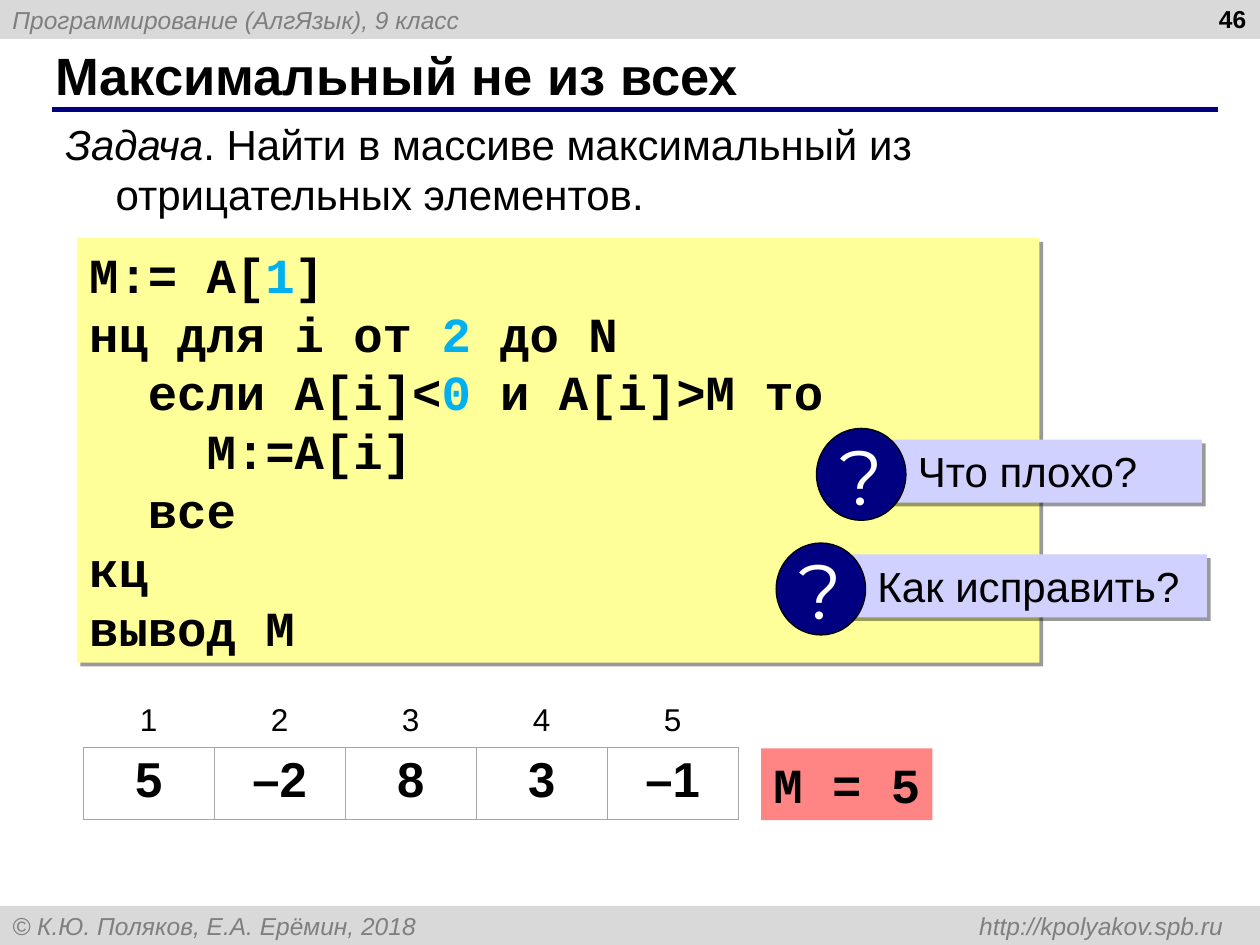
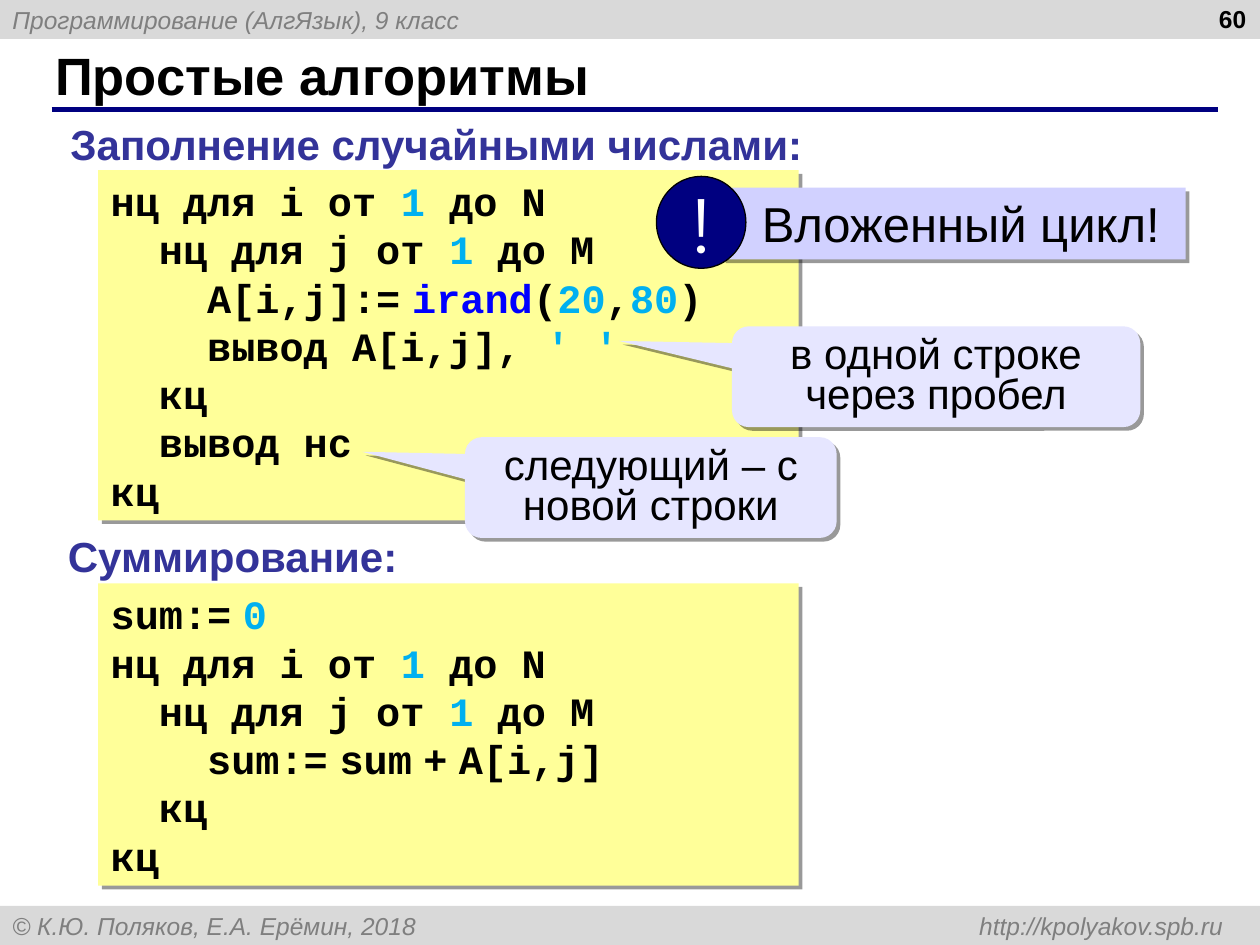
from dataclasses import dataclass

from lxml.etree import SubElement
from pptx import Presentation
from pptx.dml.color import RGBColor
from pptx.enum.shapes import MSO_CONNECTOR, MSO_SHAPE
from pptx.enum.text import MSO_ANCHOR, PP_ALIGN
from pptx.oxml.ns import qn
from pptx.util import Inches, Pt

BLACK, WHITE, NAVY = "000000", "FFFFFF", "000080"
BAND_FILL, BAND_TEXT = "D9D9D9", "7F7F7F"
CODE_FILL, BANNER_FILL, CALLOUT_FILL, RESULT_FILL = "FFFF99", "D1D1FF", "E6E6FF", "FF8585"
HEADING, LITERAL, FUNCTION, GRID = "333399", "00B0F0", "0000FF", "A6A6A6"
BODY_FONT, CODE_FONT, BADGE_FONT = "Arial", "Courier New", "Montserrat"


@dataclass
class Style:
    size: float
    font: str = BODY_FONT
    color: str = BLACK
    bold: bool = False
    italic: bool = False


@dataclass
class Token:
    """A piece of code that differs from plain code in colour or font."""
    text: str
    color: str = BLACK
    font: str = CODE_FONT


def literal(text):
    return Token(text, LITERAL)


THIN_SPACE = Token(" ", font=BODY_FONT)

MAXIMUM_CODE = [
    ["M:= A[", literal("1"), "]"],
    ["нц для i от ", literal("2"), " до N"],
    ["  если A[i]<", literal("0"), " и A[i]>M то"],
    ["    M:=A[i]"],
    ["  все"],
    ["кц"],
    ["вывод M"],
]
NESTED_LOOPS = [
    ["нц для i от ", literal("1"), " до N"],
    ["  нц для j от ", literal("1"), " до M"],
]
RANDOM_CODE = NESTED_LOOPS + [
    ["    A[i,j]:=", THIN_SPACE, Token("irand", FUNCTION), "(",
     literal("20"), ",", literal("80"), ")"],
    ["    вывод A[i,j], ", literal("' '")],
    ["  кц"],
    ["  вывод нс"],
    ["кц"],
]
SUM_CODE = [["sum:=", THIN_SPACE, literal("0")]] + NESTED_LOOPS + [
    ["    sum:=", THIN_SPACE, "sum", THIN_SPACE, "+", THIN_SPACE, "A[i,j]"],
    ["  кц"],
    ["кц"],
]


def rgb(color):
    return RGBColor.from_string(color)


def add_run(paragraph, text, style):
    run = paragraph.add_run()
    run.text = text
    font = run.font
    font.name, font.size = style.font, Pt(style.size)
    font.bold, font.italic = style.bold, style.italic
    font.color.rgb = rgb(style.color)


def set_frame(shape, anchor=MSO_ANCHOR.TOP, wrap=True, align=PP_ALIGN.LEFT):
    """Prepare the text frame and return its first paragraph."""
    frame = shape.text_frame
    frame.word_wrap = wrap
    frame.vertical_anchor = anchor
    frame.paragraphs[0].alignment = align
    return frame.paragraphs[0]


def add_text(shapes, left, top, width, height, text, style, **frame_options):
    box = shapes.add_textbox(Inches(left), Inches(top), Inches(width), Inches(height))
    paragraph = set_frame(box, **frame_options)
    if text:
        add_run(paragraph, text, style)
    return paragraph


def add_filled(shapes, kind, left, top, width, height, fill, shadow=False):
    shape = shapes.add_shape(kind, Inches(left), Inches(top), Inches(width), Inches(height))
    shape.fill.solid()
    shape.fill.fore_color.rgb = rgb(fill)
    shape.line.fill.background()
    shape.shadow.inherit = False
    if shadow:
        effects = shape._element.spPr.find(qn("a:effectLst"))
        outer = SubElement(effects, qn("a:outerShdw"), blurRad="0", dist=str(Pt(3)),
                           dir=str(45 * 60000), algn="tl", rotWithShape="0")
        color = SubElement(outer, qn("a:srgbClr"), val=BLACK)
        SubElement(color, qn("a:alpha"), val="40000")
    return shape


def add_band(shapes, top, text):
    band = add_filled(shapes, MSO_SHAPE.RECTANGLE, 0, top, 10, 0.31, BAND_FILL)
    paragraph = set_frame(band, anchor=MSO_ANCHOR.MIDDLE)
    if "\t" in text:
        tabs = SubElement(paragraph._p.get_or_add_pPr(), qn("a:tabLst"))
        SubElement(tabs, qn("a:tab"), pos=str(Inches(9.61)), algn="r")
    add_run(paragraph, text, Style(14, color=BAND_TEXT, italic=True))


def add_lesson_slide(presentation, title, number):
    """Add a slide with the bands, ruled title and page number."""
    shapes = presentation.slides.add_slide(presentation.slide_layouts[6]).shapes
    add_band(shapes, 0, "Программирование (АлгЯзык), 9 класс")
    add_band(shapes, 7.19, "© К.Ю. Поляков, Е.А. Ерёмин, 2018\thttp://kpolyakov.spb.ru")
    rule = shapes.add_connector(MSO_CONNECTOR.STRAIGHT, Inches(0.41), Inches(0.87),
                                Inches(9.67), Inches(0.87))
    rule.line.color.rgb = rgb(NAVY)
    rule.line.width = Pt(3)
    SubElement(rule._element.spPr, qn("a:effectLst"))
    add_text(shapes, 0.34, 0.33, 9.16, 0.52, title, Style(30, bold=True),
             anchor=MSO_ANCHOR.MIDDLE)
    add_text(shapes, 7.66, -0.02, 2.33, 0.52, number, Style(14, bold=True),
             align=PP_ALIGN.RIGHT)
    return shapes


def add_task(shapes, label, text):
    paragraph = add_text(shapes, 0.42, 0.89, 9.21, 0.9, "", None)
    properties = paragraph._p.get_or_add_pPr()
    properties.set("marL", str(Inches(0.4)))
    properties.set("indent", str(Inches(-0.4)))
    add_run(paragraph, label, Style(24, italic=True))
    add_run(paragraph, text, Style(24))


def add_heading(shapes, left, top, width, text):
    add_text(shapes, left, top, width, 0.5, text, Style(24, color=HEADING, bold=True),
             wrap=False)


def add_code(shapes, left, top, width, height, lines, size):
    panel = add_filled(shapes, MSO_SHAPE.RECTANGLE, left, top, width, height,
                       CODE_FILL, shadow=True)
    paragraph = set_frame(panel)
    for index, line in enumerate(lines):
        if index:
            paragraph = panel.text_frame.add_paragraph()
            paragraph.alignment = PP_ALIGN.LEFT
        for part in line:
            token = part if isinstance(part, Token) else Token(part)
            add_run(paragraph, token.text, Style(size, token.font, token.color, bold=True))


def add_banner(shapes, left, top, width, height, mark, text, size):
    """Add a text strip with a round badge overlapping its left end."""
    group = shapes.add_group_shape().shapes
    strip = add_filled(group, MSO_SHAPE.RECTANGLE, left + 0.52, top + 0.09, width, height,
                       BANNER_FILL, shadow=True)
    strip.text_frame.margin_left = Inches(0.1 + size * 0.0077)
    add_run(set_frame(strip), text, Style(size))
    badge = add_filled(group, MSO_SHAPE.OVAL, left, top, 0.71, 0.73, NAVY)
    badge.line.color.rgb = rgb(BLACK)
    badge.line.width = Pt(0.75)
    paragraph = set_frame(badge, MSO_ANCHOR.MIDDLE, wrap=False, align=PP_ALIGN.CENTER)
    add_run(paragraph, mark, Style(44, BADGE_FONT, WHITE))


def add_callout(shapes, left, top, width, text):
    callout = add_filled(shapes, MSO_SHAPE.ROUNDED_RECTANGULAR_CALLOUT, left, top, width, 0.8,
                         CALLOUT_FILL, shadow=True)
    for index, value in enumerate((-0.777, -0.355, 0.167)):
        callout.adjustments[index] = value
    paragraph = set_frame(callout, align=PP_ALIGN.CENTER)
    paragraph.line_spacing = 0.8
    add_run(paragraph, text, Style(24))


def set_borders(cell, visible_sides):
    properties = cell._tc.get_or_add_tcPr()
    for position, side in enumerate("LRTB"):
        line = properties.makeelement(qn(f"a:ln{side}"), {"w": str(Pt(0.45))})
        properties.insert(position, line)
        if side in visible_sides:
            fill = SubElement(line, qn("a:solidFill"))
            SubElement(fill, qn("a:srgbClr"), val=GRID)
        else:
            SubElement(line, qn("a:noFill"))


def add_array(shapes, left, top, values):
    """Draw an array as a table: indices above, framed values below."""
    column_width = 1.04
    table = shapes.add_table(2, len(values), Inches(left), Inches(top),
                             Inches(column_width * len(values)), Inches(0.97)).table
    table.first_row = table.horz_banding = False
    for column in table.columns:
        column.width = Inches(column_width)
    indices = [str(number) for number in range(1, len(values) + 1)]
    rows = [(indices, 0.4, Style(18), "B"), (values, 0.57, Style(28, bold=True), "LRTB")]
    for row, (texts, height, style, sides) in enumerate(rows):
        table.rows[row].height = Inches(height)
        for column, text in enumerate(texts):
            cell = table.cell(row, column)
            cell.fill.background()
            set_borders(cell, sides)
            paragraph = cell.text_frame.paragraphs[0]
            paragraph.alignment = PP_ALIGN.CENTER
            add_run(paragraph, text, style)


def add_result(shapes, left, top, text):
    result = add_filled(shapes, MSO_SHAPE.RECTANGLE, left, top, 1.36, 0.57, RESULT_FILL)
    add_run(set_frame(result, wrap=False), text, Style(28, CODE_FONT, bold=True))


def build_maximum_slide(presentation):
    shapes = add_lesson_slide(presentation, "Максимальный не из всех", "46")
    add_task(shapes, "Задача", ". Найти в массиве максимальный из отрицательных элементов.")
    add_code(shapes, 0.61, 1.89, 7.64, 3.37, MAXIMUM_CODE, 28)
    add_banner(shapes, 6.48, 3.4, 2.54, 0.5, "?", "Что плохо?", 24)
    add_array(shapes, 0.66, 5.53, ["5", "–2", "8", "3", "–1"])
    add_result(shapes, 6.04, 5.94, "M = 5")
    add_banner(shapes, 6.16, 4.31, 2.9, 0.5, "?", "Как исправить?", 24)


def build_algorithms_slide(presentation):
    shapes = add_lesson_slide(presentation, "Простые алгоритмы", "60")
    add_heading(shapes, 0.46, 0.89, 6.02, "Заполнение случайными числами:")
    add_code(shapes, 0.78, 1.35, 5.56, 2.78, RANDOM_CODE, 23)
    add_heading(shapes, 0.44, 4.16, 2.82, "Суммирование:")
    add_code(shapes, 0.78, 4.63, 5.56, 2.4, SUM_CODE, 23)
    add_banner(shapes, 5.21, 1.4, 3.68, 0.57, "!", "Вложенный цикл!", 28)
    add_callout(shapes, 5.81, 2.59, 3.24, "в одной строке через пробел")
    add_callout(shapes, 3.69, 3.47, 2.95, "следующий – с новой строки")


def main():
    presentation = Presentation()
    presentation.slide_width, presentation.slide_height = Inches(10), Inches(7.5)
    build_maximum_slide(presentation)
    build_algorithms_slide(presentation)
    presentation.save("out.pptx")


if __name__ == "__main__":
    main()
